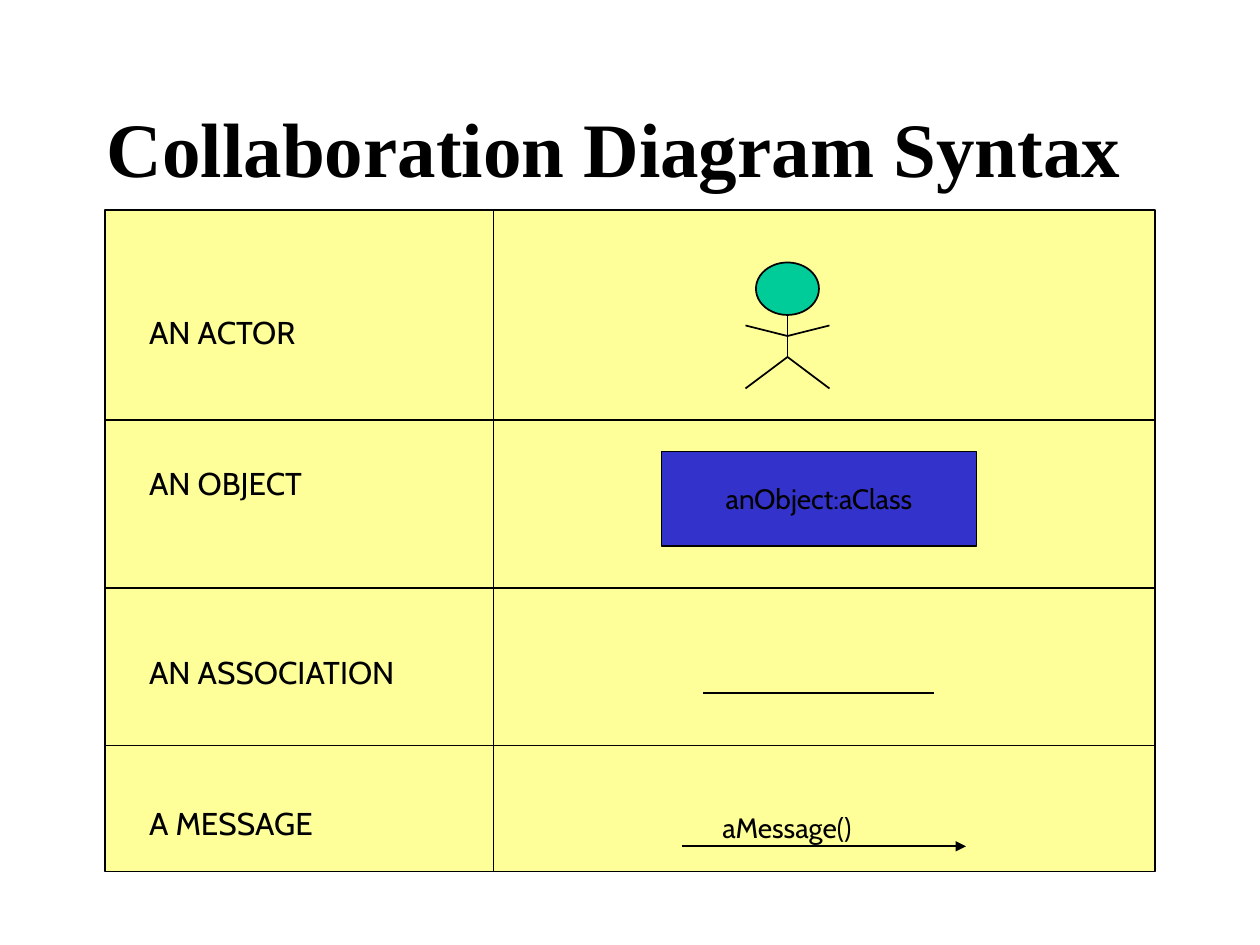
import lxml.etree
import pptx
import pptx.util
import pptx.dml.color
import pptx.enum.shapes
import pptx.enum.text
import pptx.oxml.ns

PX = 7620
BLACK = pptx.dml.color.RGBColor(0x00, 0x00, 0x00)
YELLOW = pptx.dml.color.RGBColor(0xFF, 0xFF, 0x99)
GREEN = pptx.dml.color.RGBColor(0x00, 0xCC, 0x99)
BLUE = pptx.dml.color.RGBColor(0x33, 0x33, 0xCC)
SHAPE = pptx.enum.shapes.MSO_SHAPE
ALIGN = pptx.enum.text.PP_ALIGN
ANCHOR = pptx.enum.text.MSO_ANCHOR


def write_text(shape, text, size=18, font="Cabin", bold=False,
               align=ALIGN.LEFT, anchor=ANCHOR.MIDDLE):
    frame = shape.text_frame
    frame.word_wrap = True
    frame.vertical_anchor = anchor
    frame.margin_left = frame.margin_right = 0
    frame.margin_top = frame.margin_bottom = 0
    paragraph = frame.paragraphs[0]
    paragraph.alignment = align
    run = paragraph.add_run()
    run.text = text
    run.font.size = pptx.util.Pt(size)
    run.font.name = font
    run.font.bold = bold
    run.font.color.rgb = BLACK


def draw_line(shapes, *points):
    connector = shapes.add_connector(
        pptx.enum.shapes.MSO_CONNECTOR.STRAIGHT, *[value * PX for value in points])
    connector.line.color.rgb = BLACK
    connector.line.width = pptx.util.Pt(1)
    lxml.etree.SubElement(connector._element.spPr, pptx.oxml.ns.qn("a:effectLst"))
    return connector


presentation = pptx.Presentation()
presentation.slide_width = 1200 * PX
presentation.slide_height = 900 * PX
slide = presentation.slides.add_slide(presentation.slide_layouts[6])

title = slide.shapes.add_textbox(75 * PX, 40 * PX, 1020 * PX, 144 * PX)
write_text(title, "Collaboration Diagram Syntax", size=44, font="Times New Roman",
           bold=True, align=ALIGN.CENTER, anchor=ANCHOR.BOTTOM)

actor = None
for kind, left, top, width, height, color in [
    (SHAPE.RECTANGLE, 100, 200, 1000, 630, YELLOW),
    (SHAPE.RECTANGLE, 630, 430, 300, 90, BLUE),
    (SHAPE.OVAL, 720, 250, 60, 50, GREEN),
]:
    if kind == SHAPE.OVAL:
        actor = slide.shapes.add_group_shape()
    shapes = actor.shapes if actor else slide.shapes
    shape = shapes.add_shape(kind, left * PX, top * PX, width * PX, height * PX)
    shape.shadow.inherit = False
    shape.fill.solid()
    shape.fill.fore_color.rgb = color
    shape.line.color.rgb = BLACK
    shape.line.width = pptx.util.Pt(1)
    if color == BLUE:
        write_text(shape, "anObject:aClass", size=16, align=ALIGN.CENTER)

for limb in [
    (750, 300, 750, 340),
    (710, 310, 750, 320),
    (750, 320, 790, 310),
    (750, 340, 710, 370),
    (750, 340, 790, 370),
]:
    draw_line(actor.shapes, *limb)

draw_line(slide.shapes, 470, 200, 470, 830)
for y in (400, 560, 710):
    draw_line(slide.shapes, 100, y, 1100, y)

for text, top in [
    ("AN ACTOR", 298),
    ("AN OBJECT", 442),
    ("AN ASSOCIATION", 622),
    ("A MESSAGE", 766),
]:
    label = slide.shapes.add_textbox(142 * PX, top * PX, 300 * PX, 36 * PX)
    write_text(label, text)

draw_line(slide.shapes, 670, 660, 890, 660)

message = draw_line(slide.shapes, 650, 806, 920, 806)
outline = message._element.spPr.find(pptx.oxml.ns.qn("a:ln"))
lxml.etree.SubElement(outline, pptx.oxml.ns.qn("a:tailEnd"), type="triangle")
message_label = slide.shapes.add_textbox(688 * PX, 772 * PX, 160 * PX, 32 * PX)
write_text(message_label, "aMessage()", size=16)

presentation.save("out.pptx")
